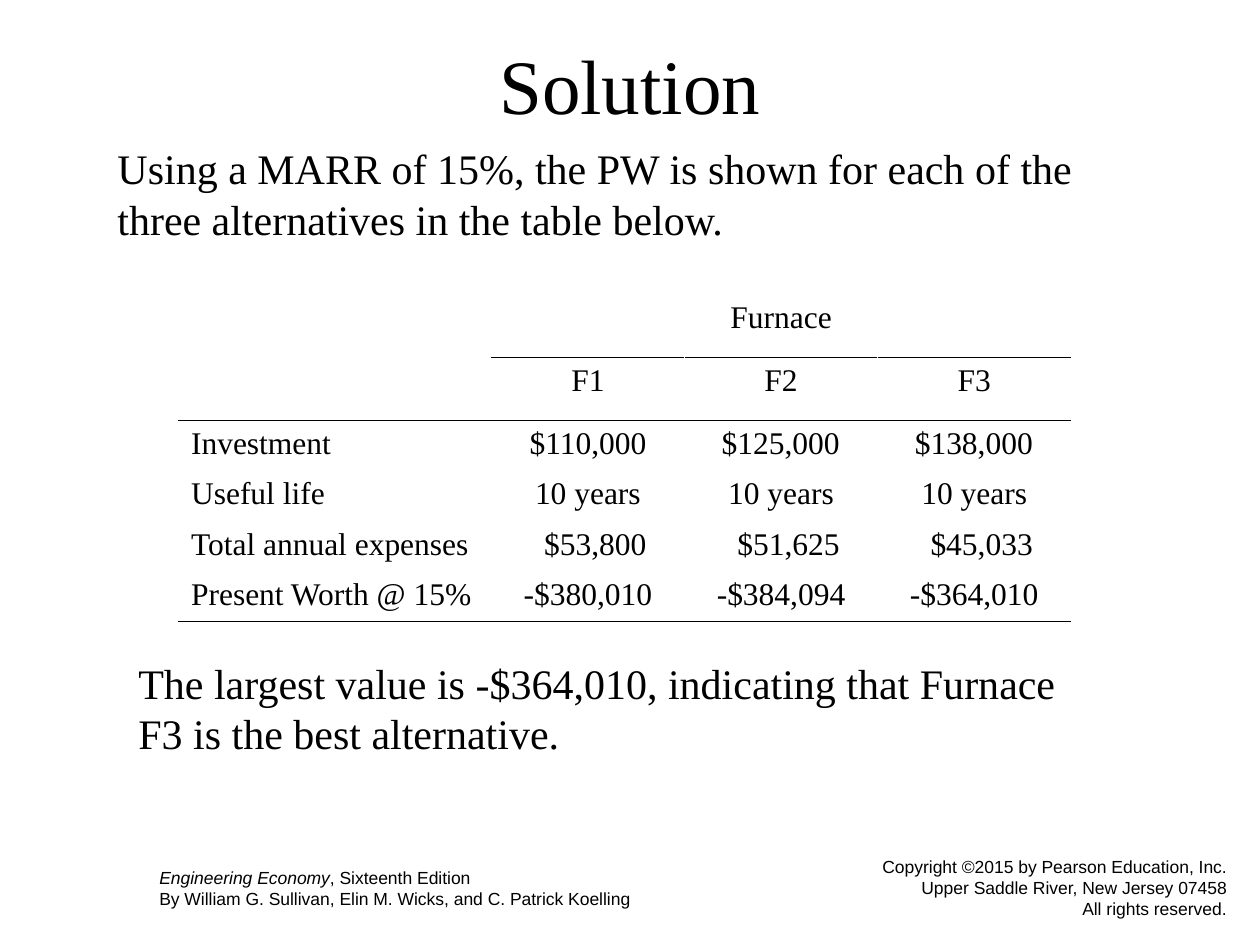
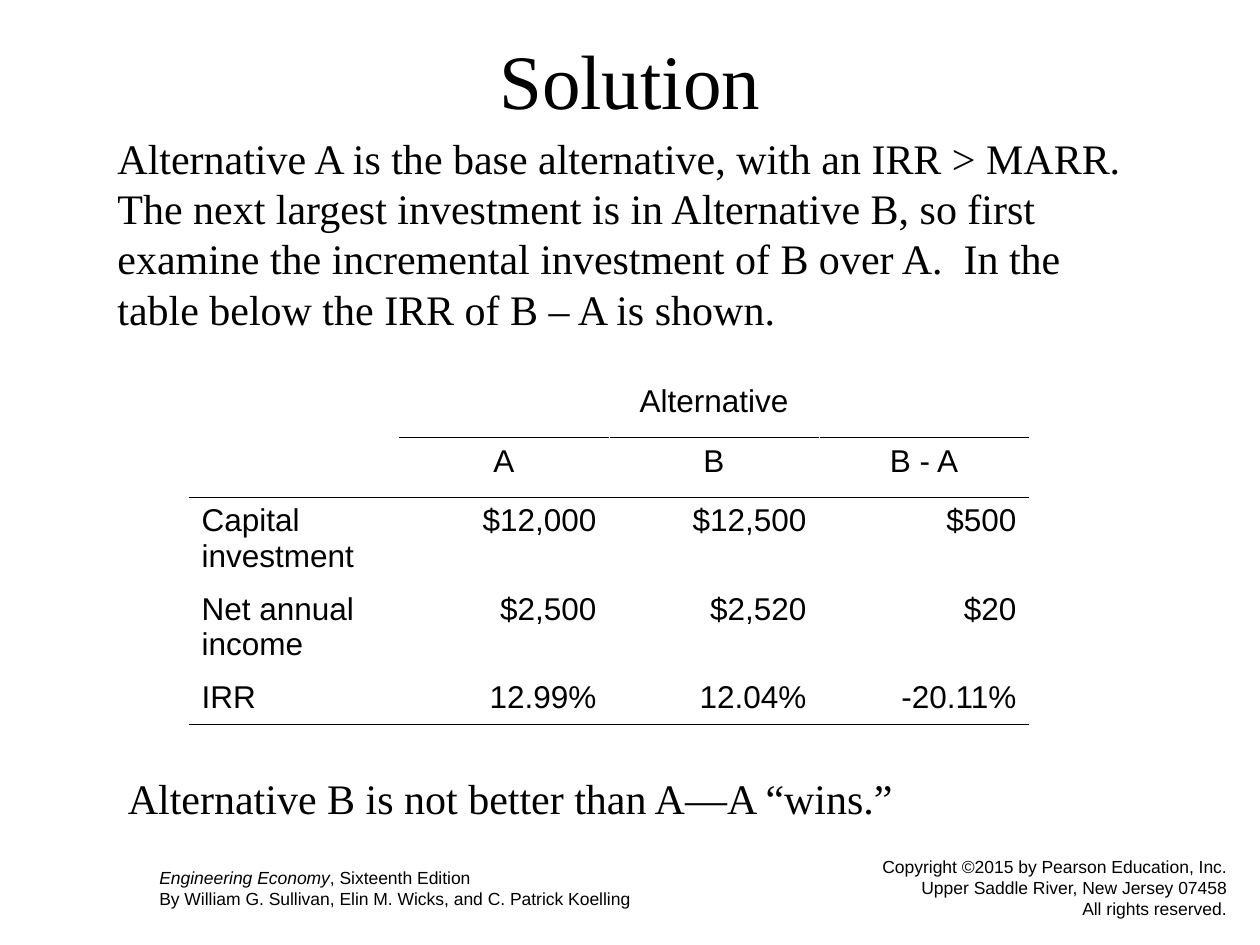
import pptx
import pptx.dml.color
import pptx.enum.text
import pptx.oxml
import pptx.oxml.ns
import pptx.util
from lxml import etree

Pt = pptx.util.Pt
ALIGN = pptx.enum.text.PP_ALIGN
ANCHOR = pptx.enum.text.MSO_ANCHOR

COLORS = {"text": "000000", "rule": "000000", "paper": "FFFFFF"}
SERIF, SANS = "Times New Roman", "Arial"
BORDER_WIDTH = 0.45
DECIMAL_TAB = 81.5
HEADER_ROWS = 2


def rgb(name):
    return pptx.dml.color.RGBColor.from_string(COLORS[name])


def add_decimal_tab(paragraph, position):
    tab_list = etree.SubElement(paragraph._p.get_or_add_pPr(), pptx.oxml.ns.qn("a:tabLst"))
    etree.SubElement(tab_list, pptx.oxml.ns.qn("a:tab"), pos=str(Pt(position)), algn="dec")


def write(frame, text, font=SERIF, size=24, align=ALIGN.LEFT, italic_lead=""):
    """Fill a text frame, one paragraph a line; italic_lead opens the first one."""
    for index, line in enumerate(text.split("\n")):
        paragraph = frame.paragraphs[0] if index == 0 else frame.add_paragraph()
        paragraph.alignment = align
        if line.startswith("\t"):
            add_decimal_tab(paragraph, DECIMAL_TAB)
        lead = italic_lead if index == 0 else ""
        for content, italic in ((lead, True), (line, False)):
            if content:
                run = paragraph.add_run()
                run.text = content
                run.font.name = font
                run.font.size = Pt(size)
                run.font.italic = italic
                run.font.color.rgb = rgb("text")


def add_text(slide, box, text, anchor=ANCHOR.TOP, **text_format):
    shape = slide.shapes.add_textbox(*map(Pt, box))
    shape.text_frame.word_wrap = True
    shape.text_frame.vertical_anchor = anchor
    write(shape.text_frame, text, **text_format)


def add_title(slide, text, top, height):
    add_text(slide, (54, top, 612, height), text, anchor=ANCHOR.MIDDLE,
             size=44, align=ALIGN.CENTER)


def add_footers(slide):
    add_text(slide, (480, 486, 228, 42.5),
             "Copyright ©2015 by Pearson Education, Inc.\n"
             "Upper Saddle River, New Jersey 07458\nAll rights reserved.",
             anchor=ANCHOR.MIDDLE, font=SANS, size=10, align=ALIGN.RIGHT)
    add_text(slide, (84, 492, 360, 31.5),
             ", Sixteenth Edition\n"
             "By William G. Sullivan, Elin M. Wicks, and C. Patrick Koelling",
             font=SANS, size=10, italic_lead="Engineering Economy")


def set_borders(cell, **side_colors):
    """Draw the cell's sides; the line elements must come before the fill."""
    properties = cell._tc.get_or_add_tcPr()
    for index, (side, color) in enumerate(side_colors.items()):
        properties.insert(index, pptx.oxml.parse_xml(
            f'<a:ln{side} {pptx.oxml.ns.nsdecls("a")} w="{Pt(BORDER_WIDTH)}"><a:solidFill>'
            f'<a:srgbClr val="{COLORS[color]}"/></a:solidFill></a:ln{side}>'))


def add_ruled_table(slide, left, top, widths, heights, rows, font, value_align):
    """Table with a spanning group heading and rules below headings and last row."""
    table = slide.shapes.add_table(len(rows), len(widths), Pt(left), Pt(top),
                                   Pt(sum(widths)), Pt(sum(heights))).table
    table.first_row = table.horz_banding = False
    for column, width in zip(table.columns, widths):
        column.width = Pt(width)
    for row, height in zip(table.rows, heights):
        row.height = Pt(height)

    def line_below(row, column):
        ruled = row in (1, len(rows) - 1) or (row == 0 and column > 0)
        return "rule" if ruled else "paper"

    for row, texts in enumerate(rows):
        for column, text in enumerate(texts):
            cell = table.cell(row, column)
            if row < HEADER_ROWS:
                align = ALIGN.CENTER
            elif column == 0 or text.startswith("\t"):
                align = ALIGN.LEFT
            else:
                align = value_align
            write(cell.text_frame, text, font=font, size=18, align=align)
            cell.fill.solid()
            cell.fill.fore_color.rgb = rgb("paper")
            set_borders(cell, L="paper", R="paper",
                        T=line_below(row - 1, column), B=line_below(row, column))
    table.cell(0, 1).merge(table.cell(0, len(widths) - 1))


def build_furnace_slide(slide):
    add_text(slide, (60, 78, 600, 65),
             "Using a MARR of 15%, the PW is shown for each of the three "
             "alternatives in the table below.")
    add_ruled_table(
        slide, 102, 168, [178.8] + [110.4] * 3, [36] * 2 + [28.8] * 4,
        [("", "Furnace", "", ""),
         ("", "F1", "F2", "F3"),
         ("Investment", "\t$110,000", "\t$125,000", "\t$138,000"),
         ("Useful life", "10 years", "10 years", "10 years"),
         ("Total annual expenses", "\t$53,800", "\t$51,625", "\t$45,033"),
         ("Present Worth @ 15%", "-$380,010", "-$384,094", "-$364,010")],
        font=SERIF, value_align=ALIGN.CENTER)
    add_title(slide, "Solution", 18, 60)
    add_text(slide, (72, 372, 540, 65),
             "The largest value is -$364,010, indicating that Furnace F3 "
             "is the best alternative.")


def build_increment_slide(slide):
    add_text(slide, (60, 72, 600, 122.5),
             "Alternative A is the base alternative, with an IRR > MARR.  The next "
             "largest investment is in Alternative B, so first examine the incremental "
             "investment of B over A.  In the table below the IRR of B – A is shown.")
    add_title(slide, "Solution", 12, 66)
    add_ruled_table(
        slide, 108, 216, [120] * 4, [34] * 2 + [50.5] * 2 + [28.8],
        [("", "Alternative", "", ""),
         ("", "A", "B", "B - A"),
         ("Capital investment", "$12,000", "$12,500", "$500"),
         ("Net annual income", "$2,500", "$2,520", "$20"),
         ("IRR", "12.99%", "12.04%", "-20.11%")],
        font=SANS, value_align=ALIGN.RIGHT)
    add_text(slide, (66, 438, 588, 36), "Alternative B is not better than A—A “wins.”")


def main():
    presentation = pptx.Presentation()
    presentation.slide_width, presentation.slide_height = Pt(720), Pt(540)
    blank_layout = presentation.slide_layouts[6]
    for build in (build_furnace_slide, build_increment_slide):
        slide = presentation.slides.add_slide(blank_layout)
        add_footers(slide)
        build(slide)
    presentation.save("out.pptx")


if __name__ == "__main__":
    main()
